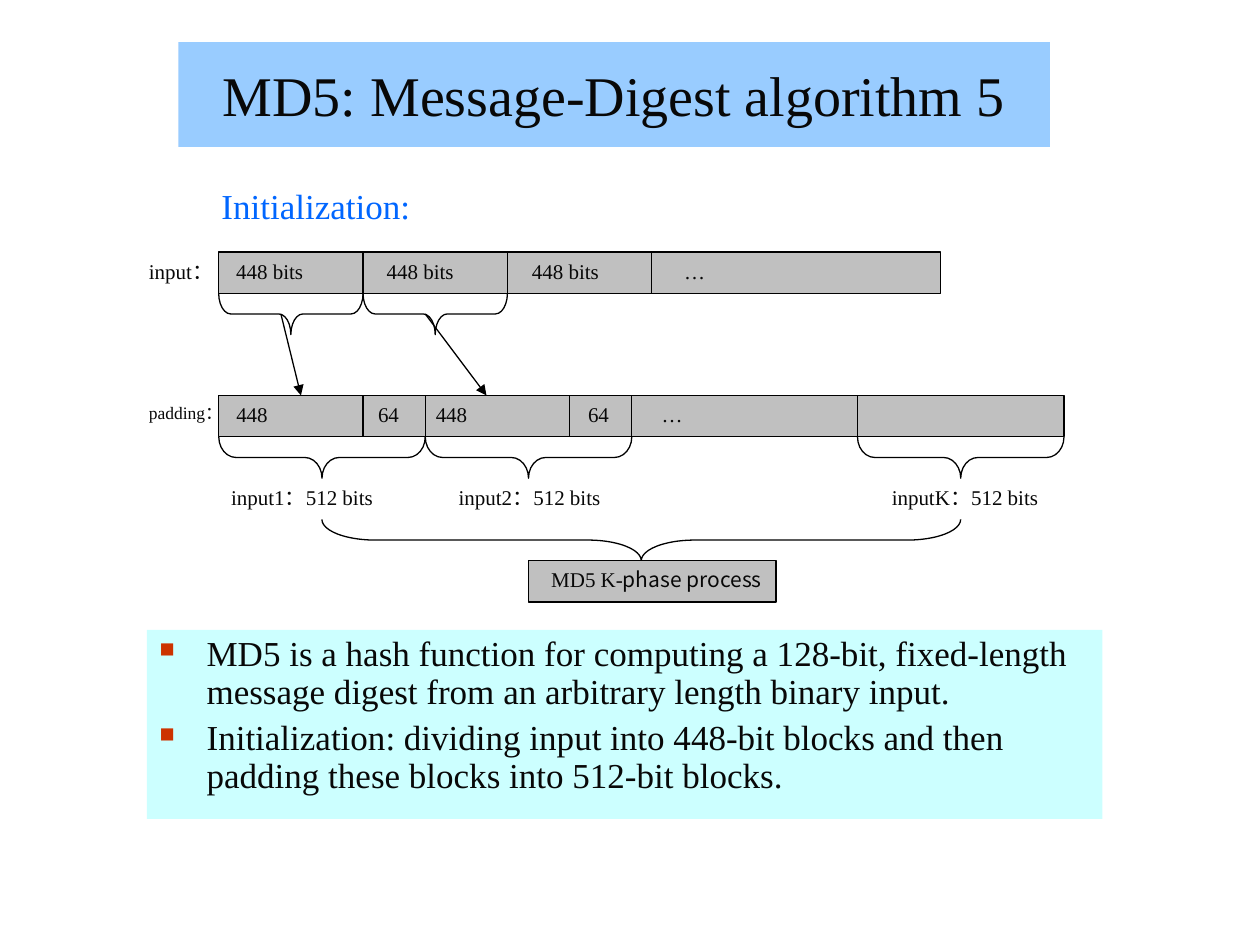
"""Build a slide showing how MD5 pads its input into 512-bit blocks."""
from lxml import etree
from pptx import Presentation
from pptx.dml.color import RGBColor
from pptx.enum import shapes, text
from pptx.oxml import ns
from pptx.util import Pt

INK = RGBColor(0x08, 0x08, 0x08)
BLACK = RGBColor(0, 0, 0)
GREY = RGBColor(0xC0, 0xC0, 0xC0)
TITLE_BLUE = RGBColor(0x99, 0xCC, 0xFF)
HEADING_BLUE = RGBColor(0x00, 0x66, 0xFF)
PALE_CYAN = RGBColor(0xCC, 0xFF, 0xFF)
BULLET_RED = "CC3300"
SERIF, SANS = "Times New Roman", "Noto Sans CJK SC"

TITLE = "MD5: Message-Digest algorithm 5"
HEADING = "Initialization:"
INPUT_CELLS = ["448 bits", "448 bits", "448 bits", "…"]
INPUT_TABS = [86, 169, 256]
PADDING_CELLS = ["448", "64", "448", "64", "…"]
PADDING_TABS = [81, 114, 201, 243]
PROCESS = [("MD5 K-", SERIF), ("phase process", SANS)]
BULLETS = [
    "MD5 is a hash function for computing a 128-bit, fixed-length "
    "message digest from an arbitrary length binary input.",
    "Initialization: dividing input into 448-bit blocks and then "
    "padding these blocks into 512-bit blocks.",
]

LEFT, ROW = 125, 23.6
MESSAGE, LENGTH_FIELD = 82.5, 35.5
BLOCK = MESSAGE + LENGTH_FIELD
INPUT_TOP, PADDING_TOP = 144, 226
INPUT_WIDTH, PADDING_WIDTH = 5 * MESSAGE, 483
LAST_BLOCK = LEFT + PADDING_WIDTH - BLOCK
BRACE_TOP = PADDING_TOP + ROW
LABEL_TOP = BRACE_TOP + ROW
MERGE_TOP = LABEL_TOP + ROW
PROCESS_TOP = MERGE_TOP + ROW
BLOCK_LABELS = [("input1：512 bits", LEFT), ("input2：512 bits", 255),
                ("inputK：512 bits", 502.5)]
ROW_LABELS = [("input：", INPUT_TOP, 12), ("padding：", PADDING_TOP, 10)]
ARROWS = [(LENGTH_FIELD, 47), (BLOCK, 153)]


def add_element(parent, tag, **attributes):
    return etree.SubElement(parent, ns.qn(tag), attributes)


def style(paragraph, size, color=INK, font=SERIF):
    for run in paragraph.runs:
        run.font.size, run.font.name = Pt(size), font
        run.font.color.rgb = color


def add_box(slide, left, top, width, height, fill, outlined=False):
    shape = slide.shapes.add_shape(shapes.MSO_SHAPE.RECTANGLE, Pt(left), Pt(top), Pt(width), Pt(height))
    shape.shadow.inherit = False
    shape.fill.solid()
    shape.fill.fore_color.rgb = fill
    if outlined:
        shape.line.color.rgb, shape.line.width = BLACK, Pt(0.75)
    else:
        shape.line.fill.background()
    frame = shape.text_frame
    frame.word_wrap = True
    frame.vertical_anchor = text.MSO_ANCHOR.TOP
    frame.paragraphs[0].alignment = text.PP_ALIGN.LEFT
    return shape


def add_label(slide, content, left, top, width, height, size, color=INK, wrap=True):
    frame = slide.shapes.add_textbox(Pt(left), Pt(top), Pt(width), Pt(height)).text_frame
    frame.word_wrap = wrap
    frame.text = content
    style(frame.paragraphs[0], size, color)


def add_line(slide, x1, y1, x2, y2, arrow=False):
    line = slide.shapes.add_connector(shapes.MSO_CONNECTOR.STRAIGHT, Pt(x1), Pt(y1), Pt(x2), Pt(y2))
    line.line.color.rgb, line.line.width = BLACK, Pt(0.75)
    if arrow:
        add_element(line.line._get_or_add_ln(), "a:tailEnd", type="triangle")
    add_element(line._element.spPr, "a:effectLst")


def add_brace(slide, left, top, width):
    shape = slide.shapes.add_shape(
        shapes.MSO_SHAPE.LEFT_BRACE, Pt(left + (width - ROW) / 2),
        Pt(top + (ROW - width) / 2), Pt(ROW), Pt(width))
    shape.rotation = 270
    shape.adjustments[0] = width / 12 / ROW
    shape.shadow.inherit = False
    shape.fill.background()
    shape.line.color.rgb, shape.line.width = BLACK, Pt(0.75)


def add_bar(slide, top, width, cells, tabs, dividers):
    frame = add_box(slide, LEFT, top, width, ROW, GREY, True).text_frame
    frame.margin_left = Pt(10)
    paragraph = frame.paragraphs[0]
    paragraph.text = "\t".join(cells)
    stops = add_element(paragraph._p.get_or_add_pPr(), "a:tabLst")
    for tab in tabs:
        add_element(stops, "a:tab", pos=str(Pt(tab)), algn="l")
    style(paragraph, 12)
    for x in dividers:
        add_line(slide, x, top, x, top + ROW)


def add_bullets(slide):
    frame = add_box(slide, 84, 360, 546, 108, PALE_CYAN).text_frame
    frame.text = "\n".join(BULLETS)
    for index, paragraph in enumerate(frame.paragraphs):
        paragraph.alignment = text.PP_ALIGN.LEFT
        paragraph.line_spacing = 0.9
        paragraph.space_before = Pt(5 if index else 0)
        properties = paragraph._p.get_or_add_pPr()
        properties.set("marL", str(Pt(27)))
        properties.set("indent", str(Pt(-27)))
        add_element(add_element(properties, "a:buClr"), "a:srgbClr", val=BULLET_RED)
        add_element(properties, "a:buSzPct", val="60000")
        add_element(properties, "a:buChar", char="■")
        style(paragraph, 20)


def main():
    presentation = Presentation()
    presentation.slide_width, presentation.slide_height = Pt(720), Pt(540)
    slide = presentation.slides.add_slide(presentation.slide_layouts[6])

    frame = add_box(slide, 102, 24, 498, 60, TITLE_BLUE).text_frame
    frame.text = TITLE
    frame.vertical_anchor = text.MSO_ANCHOR.MIDDLE
    frame.paragraphs[0].alignment = text.PP_ALIGN.CENTER
    style(frame.paragraphs[0], 32)
    add_label(slide, HEADING, 119.5, 102, 122.5, 32, 20, HEADING_BLUE, False)

    add_bar(slide, INPUT_TOP, INPUT_WIDTH, INPUT_CELLS, INPUT_TABS,
            [LEFT + MESSAGE * count for count in (1, 2, 3)])
    add_bar(slide, PADDING_TOP, PADDING_WIDTH, PADDING_CELLS, PADDING_TABS,
            [LEFT + MESSAGE, LEFT + BLOCK, LEFT + BLOCK + MESSAGE, LEFT + 2 * BLOCK, LAST_BLOCK])

    for left in (LEFT, LEFT + MESSAGE):
        add_brace(slide, left, INPUT_TOP + ROW, MESSAGE)
    for left in (LEFT, LEFT + BLOCK, LAST_BLOCK):
        add_brace(slide, left, BRACE_TOP, BLOCK)
    add_brace(slide, LEFT + BLOCK / 2, MERGE_TOP, LAST_BLOCK - LEFT)

    for start, end in ARROWS:
        add_line(slide, LEFT + start, INPUT_TOP + 1.5 * ROW, LEFT + end, PADDING_TOP, True)
    for content, top, size in ROW_LABELS:
        add_label(slide, content, 78, top, 59, ROW, size)
    for content, left in BLOCK_LABELS:
        add_label(slide, content, left, LABEL_TOP, 106, ROW, 12)

    frame = add_box(slide, 302, PROCESS_TOP, 141.5, ROW, GREY, True).text_frame
    frame.margin_left = Pt(13)
    paragraph = frame.paragraphs[0]
    for content, font in PROCESS:
        run = paragraph.add_run()
        run.text = content
    style(paragraph, 12)
    for run, (content, font) in zip(paragraph.runs, PROCESS):
        run.font.name = font

    add_bullets(slide)
    presentation.save("out.pptx")


if __name__ == "__main__":
    main()
